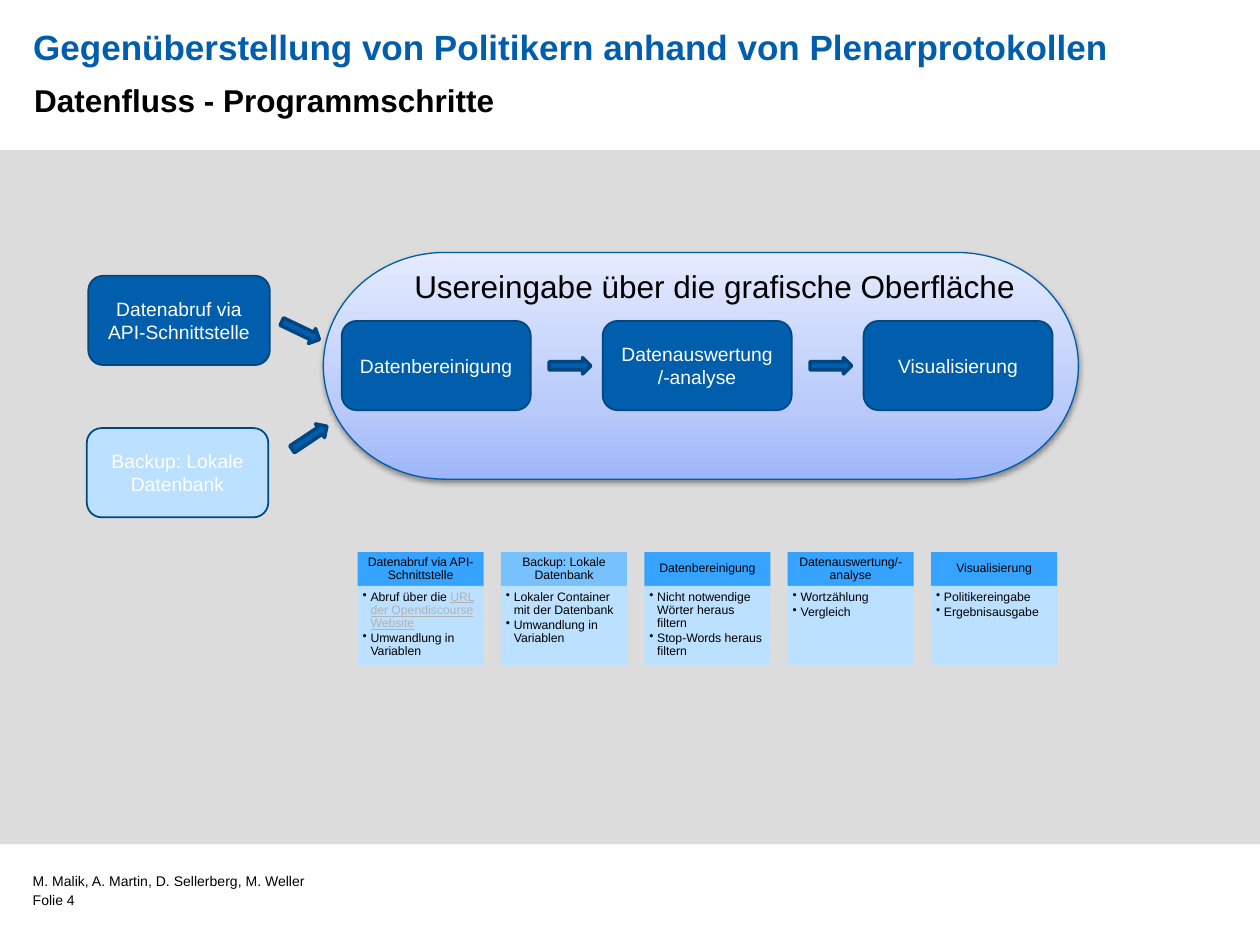
from copy import deepcopy

from lxml import etree
from pptx import Presentation
from pptx.dml.color import RGBColor
from pptx.enum.shapes import MSO_SHAPE
from pptx.enum.text import MSO_ANCHOR, PP_ALIGN
from pptx.oxml.ns import qn
from pptx.util import Cm, Pt

RECT = MSO_SHAPE.RECTANGLE
PROCESS = MSO_SHAPE.FLOWCHART_ALTERNATE_PROCESS
TERMINATOR = MSO_SHAPE.FLOWCHART_TERMINATOR
ARROW = MSO_SHAPE.RIGHT_ARROW
TOP, MIDDLE = MSO_ANCHOR.TOP, MSO_ANCHOR.MIDDLE
LEFT, CENTER = PP_ALIGN.LEFT, PP_ALIGN.CENTER

COLORS = {
    "black": "000000", "white": "FFFFFF", "panel": "DCDCDC",
    "blue": "005EAD", "edge": "004680", "rim": "005CA9",
    "head": "35A3FF", "head_light": "78C1FF", "pale": "BCE0FF", "link": "B2B2B2",
    "grad_low": "9EB6F9", "grad_mid": "BCCCFA", "grad_high": "E4EBFE",
}
GRADIENT = [("grad_low", 0), ("grad_mid", 0.35), ("grad_high", 1)]
STEPS = ["Datenbereinigung", "Datenauswertung/-analyse", "Visualisierung"]
DETAILS = [
    ("Datenabruf via API-Schnittstelle", "head",
     [["Abruf über die ", ("URL der Opendiscourse Website", "link")],
      ["Umwandlung in Variablen"]]),
    ("Backup: Lokale Datenbank", "head_light",
     [["Lokaler Container mit der Datenbank"], ["Umwandlung in Variablen"]]),
    (STEPS[0], "head",
     [["Nicht notwendige Wörter heraus filtern"], ["Stop-Words heraus filtern"]]),
    (STEPS[1], "head", [["Wortzählung"], ["Vergleich"]]),
    (STEPS[2], "head", [["Politikereingabe"], ["Ergebnisausgabe"]]),
]


def rgb(name):
    return RGBColor.from_string(COLORS[name])


def write(tf, paragraphs, size=11, color="black", bold=False, align=LEFT,
          anchor=TOP, insets=(0.25, 0.13, 0.25, 0.13), spacing=None, after=0,
          bullet=False):
    tf.word_wrap = True
    tf.vertical_anchor = anchor
    tf.margin_left, tf.margin_top, tf.margin_right, tf.margin_bottom = map(Cm, insets)
    for i, runs in enumerate(paragraphs):
        p = tf.add_paragraph() if i else tf.paragraphs[0]
        if bullet:
            pPr = p._p.get_or_add_pPr()
            pPr.set("marL", str(Cm(0.16)))
            pPr.set("indent", str(Cm(-0.16)))
            etree.SubElement(pPr, qn("a:buChar"), char="•")
        p.alignment = align
        p.line_spacing = spacing
        p.space_after = Pt(after)
        for run in runs:
            text, run_color = (run, color) if isinstance(run, str) else run
            r = p.add_run()
            r.text = text
            r.font.name = "Arial"
            r.font.size = Pt(size)
            r.font.bold = bold
            r.font.underline = run_color == "link"
            r.font.color.rgb = rgb(run_color)


class Deck:
    def __init__(self):
        self.prs = Presentation()
        self.prs.slide_width, self.prs.slide_height = Cm(25.4), Cm(19.05)
        self.slide = self.prs.slides.add_slide(self.prs.slide_layouts[6])

    def shape(self, kind, box, fill, line=None, width=1):
        sp = self.slide.shapes.add_shape(kind, *map(Cm, box))
        sp.shadow.inherit = False
        sp.fill.solid()
        sp.fill.fore_color.rgb = rgb(fill)
        if line:
            sp.line.color.rgb = rgb(line)
            sp.line.width = Pt(width)
        else:
            sp.line.fill.background()
        return sp

    def text(self, box, text, **fmt):
        tb = self.slide.shapes.add_textbox(*map(Cm, box))
        write(tb.text_frame, [[text]], **fmt)

    def process(self, box, text, fill="blue"):
        sp = self.shape(PROCESS, box, fill, "edge")
        write(sp.text_frame, [[text]], color="white", align=CENTER, anchor=MIDDLE)

    def arrow(self, x, y, rotation=0):
        self.shape(ARROW, (x, y, 0.84, 0.33), "blue", "edge", 2).rotation = rotation

    def capsule(self, box):
        sp = self.shape(TERMINATOR, box, "grad_low", "rim", 0.75)
        sp.fill.gradient()
        sp.fill.gradient_angle = 90
        stops = sp._element.spPr.find(".//" + qn("a:gsLst"))
        stops.append(deepcopy(stops[-1]))
        for stop, (name, position) in zip(sp.fill.gradient_stops, GRADIENT):
            stop.color.rgb = rgb(name)
            stop.position = position
        effects = sp._element.spPr.find(qn("a:effectLst"))
        shadow = etree.SubElement(effects, qn("a:outerShdw"), blurRad=str(Pt(3.1)),
                                  dist=str(Pt(1.6)), dir="5400000", rotWithShape="0")
        color = etree.SubElement(shadow, qn("a:srgbClr"), val=COLORS["black"])
        etree.SubElement(color, qn("a:alpha"), val="38000")

    def detail(self, x, y, title, fill, points):
        head = self.shape(RECT, (x, y, 2.54, 0.68), fill)
        write(head.text_frame, [[title]], size=7, align=CENTER, anchor=MIDDLE,
              insets=(0.12, 0.07, 0.12, 0.07), spacing=0.9)
        body = self.shape(RECT, (x, y + 0.68, 2.54, 1.6), "pale")
        write(body.text_frame, points, size=7, insets=(0.1, 0.1, 0.12, 0.15),
              spacing=0.9, after=1, bullet=True)


def main():
    deck = Deck()
    deck.shape(RECT, (0, 3.02, 25.4, 14), "panel")
    deck.text((0.66, 17.98, 18.95, 0.33), "Folie 4", size=8, insets=(0, 0, 0, 0))
    deck.text((0.66, 17.58, 18.97, 0.38), "M. Malik, A. Martin, D. Sellerberg, M. Weller",
              size=8, insets=(0, 0, 0, 0))
    deck.text((0.69, 1.5, 24, 1.02), "Datenfluss - Programmschritte",
              size=18, bold=True, insets=(0, 0.13, 0.25, 0))
    deck.text((0.67, 0.51, 24.03, 0.99),
              "Gegenüberstellung von Politikern anhand von Plenarprotokollen",
              size=20, color="blue", bold=True, insets=(0, 0, 0.25, 0))

    deck.capsule((6.52, 5.09, 15.22, 4.57))
    deck.process((1.78, 5.56, 3.66, 1.8), DETAILS[0][0])
    deck.process((1.75, 8.63, 3.66, 1.8), DETAILS[1][0], "pale")
    for i, step in enumerate(STEPS):
        deck.process((6.89 + 5.26 * i, 6.47, 3.81, 1.8), step)
    deck.arrow(5.64, 6.5, 25.6)
    deck.arrow(5.82, 8.66, 326.4)
    for i in range(len(STEPS) - 1):
        deck.arrow(11.07 + 5.26 * i, 7.21)
    for i, (title, fill, points) in enumerate(DETAILS):
        deck.detail(7.21 + 2.89 * i, 11.13, title, fill, points)
    deck.text((7.98, 5.26, 12.85, 1.8), "Usereingabe über die grafische Oberfläche",
              size=18, align=CENTER)
    deck.prs.save("out.pptx")


if __name__ == "__main__":
    main()
